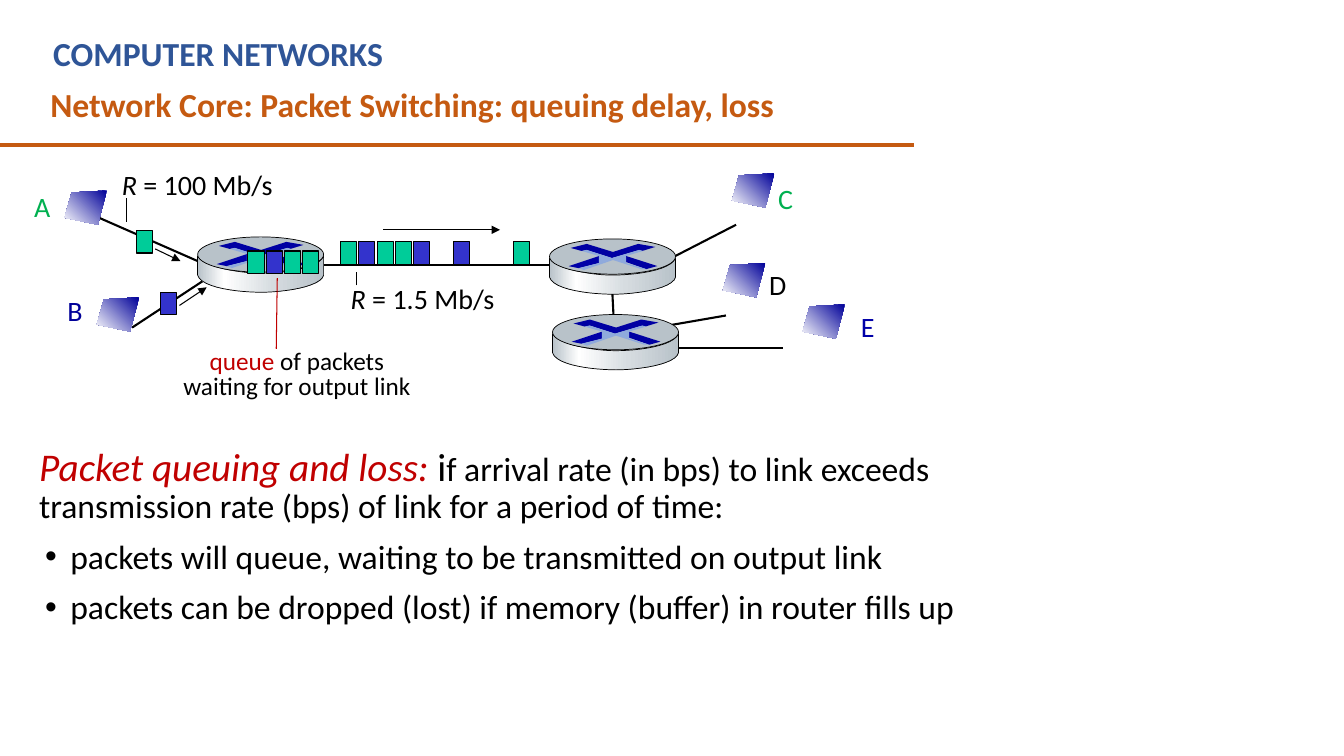
from lxml import etree
from pptx import Presentation
from pptx.dml.color import RGBColor
from pptx.enum.shapes import MSO_CONNECTOR, MSO_SHAPE
from pptx.enum.text import PP_ALIGN
from pptx.oxml.ns import qn
from pptx.util import Emu, Pt

PX = 9144  # 100 px to the inch
RECT, OVAL = MSO_SHAPE.RECTANGLE, MSO_SHAPE.OVAL
STRAIGHT = MSO_CONNECTOR.STRAIGHT
LEFT, CENTER = PP_ALIGN.LEFT, PP_ALIGN.CENTER

FONT = "Calibri"
BLACK = RGBColor(0x00, 0x00, 0x00)
WHITE = RGBColor(0xFF, 0xFF, 0xFF)
TITLE_BLUE = RGBColor(0x2F, 0x55, 0x97)
ORANGE = RGBColor(0xC5, 0x5A, 0x11)
RED = RGBColor(0xC0, 0x00, 0x00)
LABEL_GREEN = RGBColor(0x00, 0xB0, 0x50)
NAVY = RGBColor(0x00, 0x00, 0x99)
E_BLUE = RGBColor(0x00, 0x00, 0xA8)
ARROW_BLUE = RGBColor(0x00, 0x00, 0xA3)
LIGHT_BLUE = RGBColor(0x8F, 0xAA, 0xDC)
STEEL = RGBColor(0xB8, 0xC2, 0xC9)
PALE_STEEL = RGBColor(0xD6, 0xDC, 0xE0)
PACKET_A = RGBColor(0x00, 0xCC, 0x99)
PACKET_B = RGBColor(0x33, 0x33, 0xCC)

HOST = [(42, 0), (7, 2), (0, 27), (33, 34)]
ROUTER_CROSS = [(105, 8) if i == 0 else pt for i, pt in enumerate([
    (88, 5), (105, 8), (92, 12), (89, 11), (62, 19), (37, 11), (32, 12),
    (21, 9), (37, 5), (63, 13)])][1:] + [(88, 5)]
ROUTER_RIGHT = [(76, 17), (107, 27), (96, 30), (76, 23)]
ROUTER_LEFT = [(49, 17), (49, 24), (29, 29), (19, 27)]
ROUTER_SHADE = [(32, 12), (37, 11), (62, 19), (89, 11), (93, 12), (76, 17),
                (76, 24), (96, 30), (91, 30), (63, 21), (34, 31), (29, 29),
                (49, 24), (49, 17)]
PACKET_STEP = 18


def box(x, y, w, h):
    return [Emu(v * PX) for v in (x, y, w, h)]


def add_line(s, x1, y1, x2, y2, color=BLACK, width=1.5, arrow=False):
    c = s.shapes.add_connector(STRAIGHT, *box(x1, y1, x2, y2))
    c.line.color.rgb = color
    c.line.width = Pt(width)
    if arrow:
        etree.SubElement(c.line._get_or_add_ln(), qn("a:tailEnd"), type="triangle")
    etree.SubElement(c.element.spPr, qn("a:effectLst"))


def paint(sp, fill, outline=None):
    sp.shadow.inherit = False
    if fill is not None:
        sp.fill.solid()
        sp.fill.fore_color.rgb = fill
    if outline is None:
        sp.line.fill.background()
    else:
        sp.line.color.rgb = BLACK
        sp.line.width = Pt(outline)


def paint_gradient(sp, stops, angle):
    sp.fill.gradient()
    sp.fill.gradient_angle = angle
    stop_list = sp.element.spPr.find(".//" + qn("a:gsLst"))
    for stop in list(stop_list):
        stop_list.remove(stop)
    for percent, color in stops:
        stop = etree.SubElement(stop_list, qn("a:gs"), pos=str(percent * 1000))
        etree.SubElement(stop, qn("a:srgbClr"), val=str(color))


def add_outline(s, x, y, points):
    pts = [(round((x + px) * PX), round((y + py) * PX)) for px, py in points]
    fb = s.shapes.build_freeform(*pts[0])
    fb.add_line_segments(pts[1:], close=True)
    return fb.convert_to_shape()


def curve(p0, p1, p2, p3, steps=12):
    """Points of a cubic curve, without its first one."""
    pts = []
    for i in range(1, steps + 1):
        t = i / steps
        weights = ((1 - t) ** 3, 3 * t * (1 - t) ** 2, 3 * t * t * (1 - t), t ** 3)
        pts.append(tuple(sum(k * p[axis] for k, p in zip(weights, (p0, p1, p2, p3)))
                         for axis in (0, 1)))
    return pts


def add_host(s, x, y):
    sp = add_outline(s, x, y, HOST)
    paint(sp, None)
    paint_gradient(sp, [(0, NAVY), (100, WHITE)], 225)


def add_router(s, x, y):
    side = [(125, 19), (125, 38)]
    side += curve((125, 38), (122, 50), (84, 55), (63, 55))
    side += curve((63, 55), (42, 55), (4, 51), (0, 38)) + [(0, 19)]
    side += curve((0, 19), (6, 30), (42, 36), (62, 36))
    side += curve((62, 36), (83, 36), (120, 32), (125, 19))
    sp = add_outline(s, x, y, side)
    paint(sp, None, 0.5)
    paint_gradient(sp, [(0, STEEL), (21, WHITE), (60, PALE_STEEL), (100, STEEL)], 0)
    paint(s.shapes.add_shape(OVAL, *box(x, y, 125, 35)), STEEL, 0.5)
    for points, color in ((ROUTER_CROSS, ARROW_BLUE), (ROUTER_RIGHT, ARROW_BLUE),
                          (ROUTER_LEFT, E_BLUE), (ROUTER_SHADE, LIGHT_BLUE)):
        paint(add_outline(s, x, y, points), color)


def add_packets(s, x, y, *colors):
    for i, color in enumerate(colors):
        sp = s.shapes.add_shape(RECT, *box(x + i * PACKET_STEP, y, 16, 22))
        paint(sp, color, 0.75)


def add_run(p, text, size, color, bold=False, italic=False):
    r = p.add_run()
    r.text = text
    f = r.font
    f.name, f.size, f.bold, f.italic = FONT, Pt(size), bold, italic
    f.color.rgb = color


def add_text(s, x, y, w, h, paragraphs, wrap=True, align=LEFT, spacing=None, before=0):
    """Each paragraph is a list of add_run argument tuples."""
    tf = s.shapes.add_textbox(*box(x, y, w, h)).text_frame
    tf.word_wrap = wrap
    for i, runs in enumerate(paragraphs):
        p = tf.add_paragraph() if i else tf.paragraphs[0]
        p.alignment = align
        if spacing:
            p.line_spacing = spacing
        if i and before:
            p.space_before = Pt(before)
        for run in runs:
            add_run(p, *run)
    return tf


def add_header(s):
    add_line(s, -1, 144, 907, 144, ORANGE, 3)
    add_text(s, 43, 28, 820, 50, [[("COMPUTER NETWORKS", 24, TITLE_BLUE, True)]])
    add_text(s, 40, 78, 875, 50, [[
        ("Network Core: Packet Switching: queuing delay, loss", 24, ORANGE, True)]])


def add_network(s, x, y):
    for x1, y1, x2, y2 in ((65, 51, 172, 98), (107, 164, 186, 112), (292, 102, 543, 102),
                           (585, 162, 583, 122), (640, 96, 706, 62),
                           (646, 184, 753, 184), (696, 152, 592, 170)):
        add_line(s, x + x1, y + y1, x + x2, y + y2)
    for host_x, host_y in ((40, 28), (72, 134), (693, 100), (772, 141), (702, 11)):
        add_host(s, x + host_x, y + host_y)
    for router_x, router_y in ((521, 76), (524, 151), (172, 74)):
        add_router(s, x + router_x, y + router_y)
    for packet_x, packet_y, colors in (
            (222, 88, (PACKET_A, PACKET_B, PACKET_A, PACKET_A)),
            (314, 79, (PACKET_A, PACKET_B, PACKET_A, PACKET_A, PACKET_B)),
            (426, 79, (PACKET_B,)), (485, 79, (PACKET_A,)),
            (111, 68, (PACKET_A,)), (135, 129, (PACKET_B,))):
        add_packets(s, x + packet_x, y + packet_y, *colors)
    for x1, y1, x2, y2 in ((356, 67, 472, 67), (130, 86, 155, 98), (154, 142, 181, 124)):
        add_line(s, x + x1, y + y1, x + x2, y + y2, width=0.75, arrow=True)
    for x1, y1, x2, y2, color in ((250, 185, 251, 115, RED), (101, 59, 101, 35, BLACK),
                                  (330, 122, 330, 109, BLACK)):
        add_line(s, x + x1, y + y1, x + x2, y + y2, color, 0.75)
    for name, label_x, label_y, w, color in (
            ("A", 0, 22, 36, LABEL_GREEN), ("B", 33, 125, 35, NAVY),
            ("C", 738, 14, 35, LABEL_GREEN), ("D", 729, 99, 44, BLACK),
            ("E", 820, 141, 34, E_BLUE)):
        add_text(s, x + label_x, y + label_y, w, 44, [[(name, 20, color)]], wrap=False)
    for rate, label_x, label_y, w in ((" = 100 Mb/s", 87, 0, 171),
                                      (" = 1.5 Mb/s", 314, 113, 164)):
        add_text(s, x + label_x, y + label_y, w, 44,
                 [[("R", 20, BLACK, False, True), (rate, 20, BLACK)]], wrap=False)
    add_text(s, x + 142, y + 181, 257, 62,
             [[("queue", 18, RED), (" of packets", 18, BLACK)],
              [("waiting for output link", 18, BLACK)]], align=CENTER, spacing=0.85)


def add_explanation(s, x, y, w, h):
    tf = add_text(s, x, y, w, h, [
        [("Packet queuing and loss: ", 28, RED, False, True), ("i", 28, BLACK),
         ("f arrival rate (in bps) to link exceeds transmission rate (bps) of link "
          "for a period of time:", 24, BLACK)],
        [("packets will queue, waiting to be transmitted on output link", 24, BLACK)],
        [("packets can be dropped (lost) if memory (buffer) in router fills up", 24, BLACK)],
    ], spacing=0.9, before=10)
    for p in tf.paragraphs[1:]:
        pPr = p._p.get_or_add_pPr()
        pPr.set("marL", str(31 * PX))
        pPr.set("indent", str(-25 * PX))
        etree.SubElement(pPr, qn("a:buFont"), typeface="Arial")
        etree.SubElement(pPr, qn("a:buChar"), char="•")


def main():
    prs = Presentation()
    prs.slide_width, prs.slide_height = Emu(1333 * PX), Emu(750 * PX)
    s = prs.slides.add_slide(prs.slide_layouts[6])
    add_header(s)
    add_explanation(s, 29, 439, 950, 232)
    add_network(s, 24, 161)
    prs.save("out.pptx")


if __name__ == "__main__":
    main()
